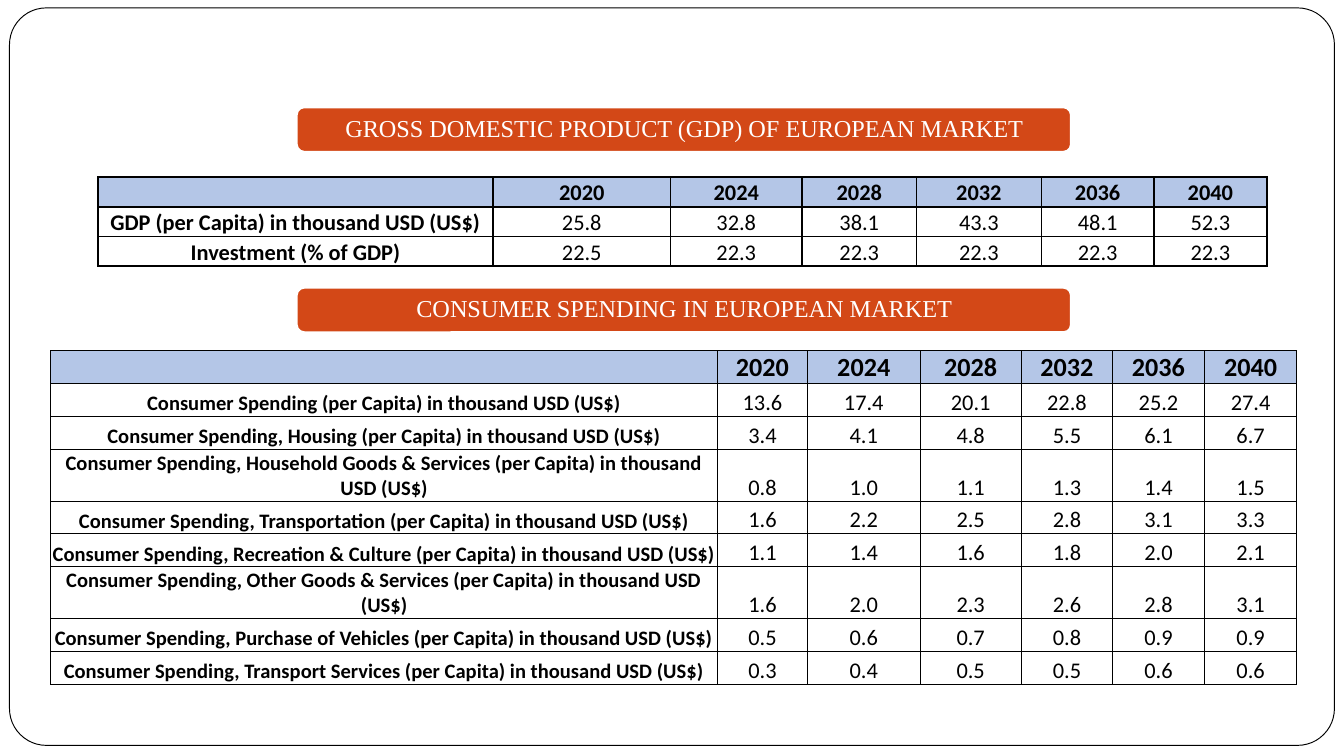
from dataclasses import dataclass

from lxml import etree
from pptx import Presentation
from pptx.dml.color import RGBColor
from pptx.enum import shapes, text
from pptx.oxml import ns
from pptx.util import Cm, Pt


@dataclass(frozen=True)
class Theme:
    white: str = "FFFFFF"
    black: str = "000000"
    banner: str = "D34817"
    header: str = "B4C6E7"
    banner_font: str = "Times New Roman"
    table_font: str = "Calibri"
    banner_size: float = 13
    label_size: float = 11
    value_size: float = 12
    header_size: float = 14


@dataclass(frozen=True)
class Banner:
    caption: str
    top: float


@dataclass(frozen=True)
class DataTable:
    left: float
    top: float
    columns: tuple[float, ...]
    row_height: float
    border: float
    header_size: float
    label_size: float
    rows: tuple[tuple[str, ...], ...]


THEME = Theme()
YEARS = ("2020", "2024", "2028", "2032", "2036", "2040")
UNIT = "(per Capita) in thousand USD (US$)"
SPENDING = {
    "": "13.6 17.4 20.1 22.8 25.2 27.4",
    ", Housing": "3.4 4.1 4.8 5.5 6.1 6.7",
    ", Household Goods & Services": "0.8 1.0 1.1 1.3 1.4 1.5",
    ", Transportation": "1.6 2.2 2.5 2.8 3.1 3.3",
    ", Recreation & Culture": "1.1 1.4 1.6 1.8 2.0 2.1",
    ", Other Goods & Services": "1.6 2.0 2.3 2.6 2.8 3.1",
    ", Purchase of Vehicles": "0.5 0.6 0.7 0.8 0.9 0.9",
    ", Transport Services": "0.3 0.4 0.5 0.5 0.6 0.6",
}

BANNERS = (
    Banner("GROSS DOMESTIC PRODUCT (GDP) OF EUROPEAN MARKET", 2.03),
    Banner("CONSUMER SPENDING IN EUROPEAN MARKET", 5.44),
)
TABLES = (
    DataTable(
        1.85, 3.35, (7.47, 3.35, 2.49, 2.16, 2.36, 2.13, 2.13), 0.56, 1,
        THEME.value_size, THEME.value_size,
        (
            (f"GDP {UNIT}", "25.8", "32.8", "38.1", "43.3", "48.1", "52.3"),
            ("Investment (% of GDP)", "22.5") + ("22.3",) * 5,
        ),
    ),
    DataTable(
        0.96, 6.63, (12.6, 1.7, 2.13, 1.91, 1.73, 1.73, 1.75), 0.62, 0.5,
        THEME.header_size, THEME.label_size,
        tuple(
            (f"Consumer Spending{category} {UNIT}", *values.split())
            for category, values in SPENDING.items()
        ),
    ),
)


def write(frame, content: str, *, font: str, size: float, color: str,
          bold: bool = False, line_spacing: float = 1.0) -> None:
    para = frame.paragraphs[0]
    para.alignment = text.PP_ALIGN.CENTER
    para.line_spacing = line_spacing
    if not content:
        end = etree.SubElement(para._p, ns.qn("a:endParaRPr"))
        end.set("sz", str(int(size * 100)))
        return
    span = para.add_run()
    span.text = content
    span.font.name = font
    span.font.size = Pt(size)
    span.font.bold = bold
    span.font.color.rgb = RGBColor.from_string(color)


def add_rounded(page, left: float, top: float, width: float, height: float, *,
                fill: str, line: str, line_width: float):
    box = page.shapes.add_shape(
        shapes.MSO_SHAPE.ROUNDED_RECTANGLE,
        Cm(left), Cm(top), Cm(width), Cm(height),
    )
    box.shadow.inherit = False
    box.fill.solid()
    box.fill.fore_color.rgb = RGBColor.from_string(fill)
    box.line.color.rgb = RGBColor.from_string(line)
    box.line.width = Pt(line_width)
    return box


def add_banner(page, banner: Banner) -> None:
    box = add_rounded(page, 5.61, banner.top, 14.63, 0.84,
                      fill=THEME.banner, line=THEME.white, line_width=1)
    frame = box.text_frame
    frame.word_wrap = True
    frame.vertical_anchor = text.MSO_ANCHOR.MIDDLE
    frame.margin_left = frame.margin_right = Cm(0.13)
    frame.margin_top = frame.margin_bottom = Cm(0.13)
    write(frame, banner.caption, font=THEME.banner_font,
          size=THEME.banner_size, color=THEME.white, line_spacing=0.9)


def set_borders(cell, width: float) -> None:
    properties = cell._tc.get_or_add_tcPr()
    for side in ("a:lnL", "a:lnR", "a:lnT", "a:lnB"):
        line = etree.SubElement(properties, ns.qn(side), w=str(Pt(width)))
        fill = etree.SubElement(line, ns.qn("a:solidFill"))
        etree.SubElement(fill, ns.qn("a:srgbClr"), val=THEME.black)


def add_data_table(page, data: DataTable) -> None:
    rows = (("", *YEARS), *data.rows)
    table = page.shapes.add_table(
        len(rows), len(data.columns), Cm(data.left), Cm(data.top),
        Cm(sum(data.columns)), Cm(data.row_height * len(rows)),
    ).table
    table.first_row = False
    table.horz_banding = False
    for column, width in zip(table.columns, data.columns):
        column.width = Cm(width)
    for row_index, row in enumerate(rows):
        table.rows[row_index].height = Cm(data.row_height)
        for column_index, content in enumerate(row):
            cell = table.cell(row_index, column_index)
            is_header, is_label = row_index == 0, column_index == 0
            set_borders(cell, data.border)
            cell.margin_left = cell.margin_right = cell.margin_top = Cm(0.02)
            cell.margin_bottom = 0
            cell.vertical_anchor = text.MSO_ANCHOR.BOTTOM
            if is_header:
                cell.fill.solid()
                cell.fill.fore_color.rgb = RGBColor.from_string(THEME.header)
                size = data.header_size
            else:
                cell.fill.background()
                size = data.label_size if is_label else THEME.value_size
            write(cell.text_frame, content, font=THEME.table_font, size=size,
                  color=THEME.black, bold=is_header or is_label)


def main() -> None:
    deck = Presentation()
    deck.slide_width, deck.slide_height = Cm(25.4), Cm(14.29)
    page = deck.slides.add_slide(deck.slide_layouts[6])
    border = add_rounded(page, 0.18, 0.15, 25.04, 13.94,
                         fill=THEME.white, line=THEME.black, line_width=0.5)
    border.adjustments[0] = 0.05
    for banner, data in zip(BANNERS, TABLES):
        add_banner(page, banner)
        add_data_table(page, data)
    deck.save("out.pptx")


if __name__ == "__main__":
    main()
